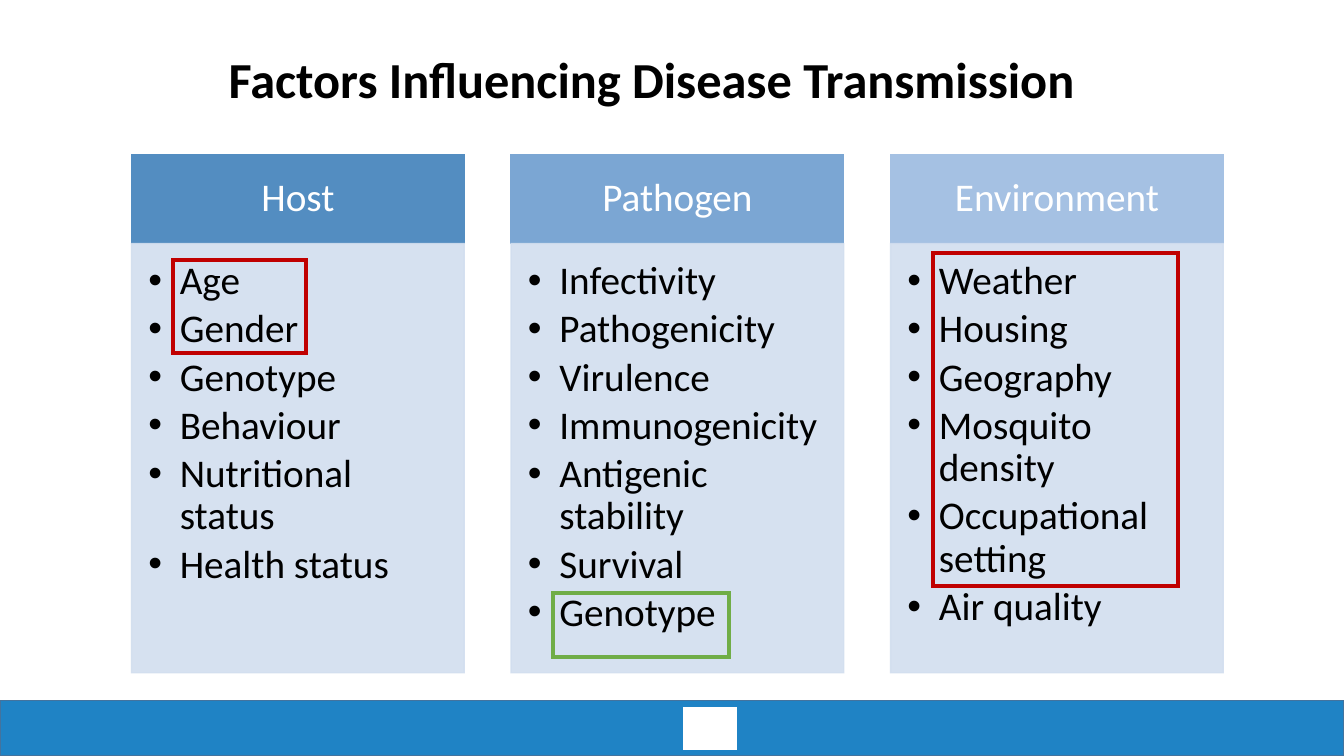
from dataclasses import dataclass

import lxml.etree
import pptx
import pptx.dml.color
import pptx.enum.shapes
import pptx.enum.text
import pptx.oxml.ns
import pptx.shapes.autoshape
import pptx.slide
import pptx.text.text
import pptx.util

Pt = pptx.util.Pt
Anchor = pptx.enum.text.MSO_ANCHOR
Align = pptx.enum.text.PP_ALIGN

COLORS = {
    "black": "000000",
    "white": "FFFFFF",
    "footer": "1F83C5",
    "footer_line": "43739E",
    "host": "538DC1",
    "pathogen": "7BA6D3",
    "environment": "A5C1E3",
    "body": "D2DEEF",
    "red": "C00000",
    "green": "70AD47",
}
FONT = "Calibri"
COLUMN_LEFT, COLUMN_STEP, COLUMN_WIDTH = 94, 271.1, 237.6
HEADER_TOP, HEADER_HEIGHT, BODY_HEIGHT = 110.5, 63.5, 306.6
BULLET_INDENT = 22.5


@dataclass
class Area:
    left: float
    top: float
    width: float
    height: float


@dataclass
class Column:
    heading: str
    color: str
    factors: list[str]


@dataclass
class Frame:
    area: Area
    color: str


COLUMNS = [
    Column("Host", "host", ["Age", "Gender", "Genotype", "Behaviour", "Nutritional status", "Health status"]),
    Column("Pathogen", "pathogen", ["Infectivity", "Pathogenicity", "Virulence", "Immunogenicity",
                                    "Antigenic stability", "Survival", "Genotype"]),
    Column("Environment", "environment", ["Weather", "Housing", "Geography", "Mosquito density",
                                          "Occupational setting", "Air quality"]),
]
FRAMES = [
    Frame(Area(123.8, 185.8, 95, 66.2), "red"),
    Frame(Area(666.7, 180.7, 175, 238), "red"),
    Frame(Area(395.3, 423.4, 125.3, 46), "green"),
]


def rgb(name: str) -> pptx.dml.color.RGBColor:
    return pptx.dml.color.RGBColor.from_string(COLORS[name])


def add_box(slide: pptx.slide.Slide, area: Area, fill: str | None, line: str,
            line_width: float = 1) -> pptx.shapes.autoshape.Shape:
    box = slide.shapes.add_shape(pptx.enum.shapes.MSO_SHAPE.RECTANGLE,
                                 Pt(area.left), Pt(area.top), Pt(area.width), Pt(area.height))
    box.shadow.inherit = False
    if fill:
        box.fill.solid()
        box.fill.fore_color.rgb = rgb(fill)
    else:
        box.fill.background()
    box.line.color.rgb = rgb(line)
    box.line.width = Pt(line_width)
    outline = box.element.spPr.find(pptx.oxml.ns.qn("a:ln"))
    lxml.etree.SubElement(outline, pptx.oxml.ns.qn("a:miter"), lim="800000")
    return box


def make_translucent(box: pptx.shapes.autoshape.Shape, percent: int) -> None:
    for color in box.element.spPr.iter(pptx.oxml.ns.qn("a:srgbClr")):
        lxml.etree.SubElement(color, pptx.oxml.ns.qn("a:alpha"), val=str(percent * 1000))


def add_bullet(para: pptx.text.text._Paragraph) -> None:
    properties = para._p.get_or_add_pPr()
    indent = Pt(BULLET_INDENT)
    properties.set("marL", str(indent))
    properties.set("indent", str(-indent))
    lxml.etree.SubElement(properties, pptx.oxml.ns.qn("a:buFont"), typeface="Arial")
    lxml.etree.SubElement(properties, pptx.oxml.ns.qn("a:buChar"), char="•")


def write_text(box: pptx.shapes.autoshape.Shape, lines: list[str], size: float, color: str,
               anchor: Anchor, align: Align, insets: tuple[float, float, float, float],
               bold: bool = False, bulleted: bool = False, space_after: float = 0) -> None:
    frame = box.text_frame
    frame.word_wrap = True
    frame.vertical_anchor = anchor
    frame.margin_left, frame.margin_top, frame.margin_right, frame.margin_bottom = map(Pt, insets)
    for index, text in enumerate(lines):
        para = frame.add_paragraph() if index else frame.paragraphs[0]
        para.text = text
        para.alignment = align
        para.line_spacing = 0.9
        para.space_after = Pt(space_after)
        if bulleted:
            add_bullet(para)
        para.font.name = FONT
        para.font.size = Pt(size)
        para.font.bold = bold
        para.font.color.rgb = rgb(color)


def add_column(slide: pptx.slide.Slide, column: Column, left: float) -> None:
    header = add_box(slide, Area(left, HEADER_TOP, COLUMN_WIDTH, HEADER_HEIGHT), column.color, column.color)
    write_text(header, [column.heading], 28, "white", Anchor.MIDDLE, Align.CENTER, (16, 9, 16, 9))
    body = add_box(slide, Area(left, HEADER_TOP + HEADER_HEIGHT, COLUMN_WIDTH, BODY_HEIGHT), "body", "body")
    make_translucent(body, 90)
    write_text(body, column.factors, 28, "black", Anchor.TOP, Align.LEFT, (12, 12.4, 16, 17),
               bulleted=True, space_after=4.2)


def main() -> None:
    deck = pptx.Presentation()
    deck.slide_width, deck.slide_height = Pt(960), Pt(540)
    slide = deck.slides.add_slide(deck.slide_layouts[6])

    add_box(slide, Area(0, 500.2, 960, 39.8), "footer", "footer_line")
    add_box(slide, Area(488.2, 505.6, 37.6, 29.5), "white", "white")

    title = slide.shapes.add_textbox(Pt(156.2), Pt(13.7), Pt(648), Pt(90))
    write_text(title, ["Factors Influencing Disease Transmission"], 36, "black",
               Anchor.MIDDLE, Align.LEFT, (7.2, 3.6, 7.2, 3.6), bold=True)

    for index, column in enumerate(COLUMNS):
        add_column(slide, column, COLUMN_LEFT + index * COLUMN_STEP)
    for frame in FRAMES:
        add_box(slide, frame.area, None, frame.color, 3)

    deck.save("out.pptx")


if __name__ == "__main__":
    main()
